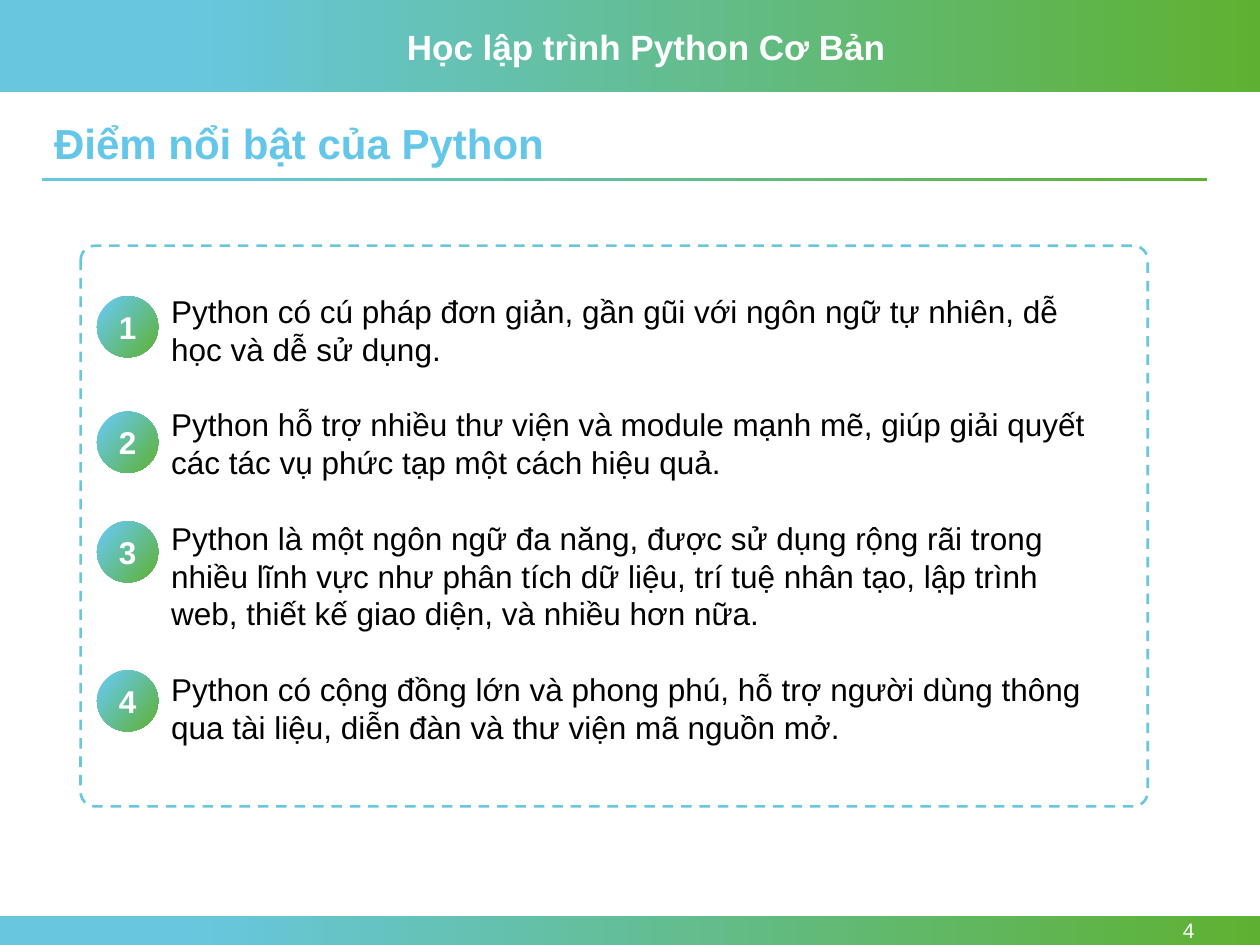
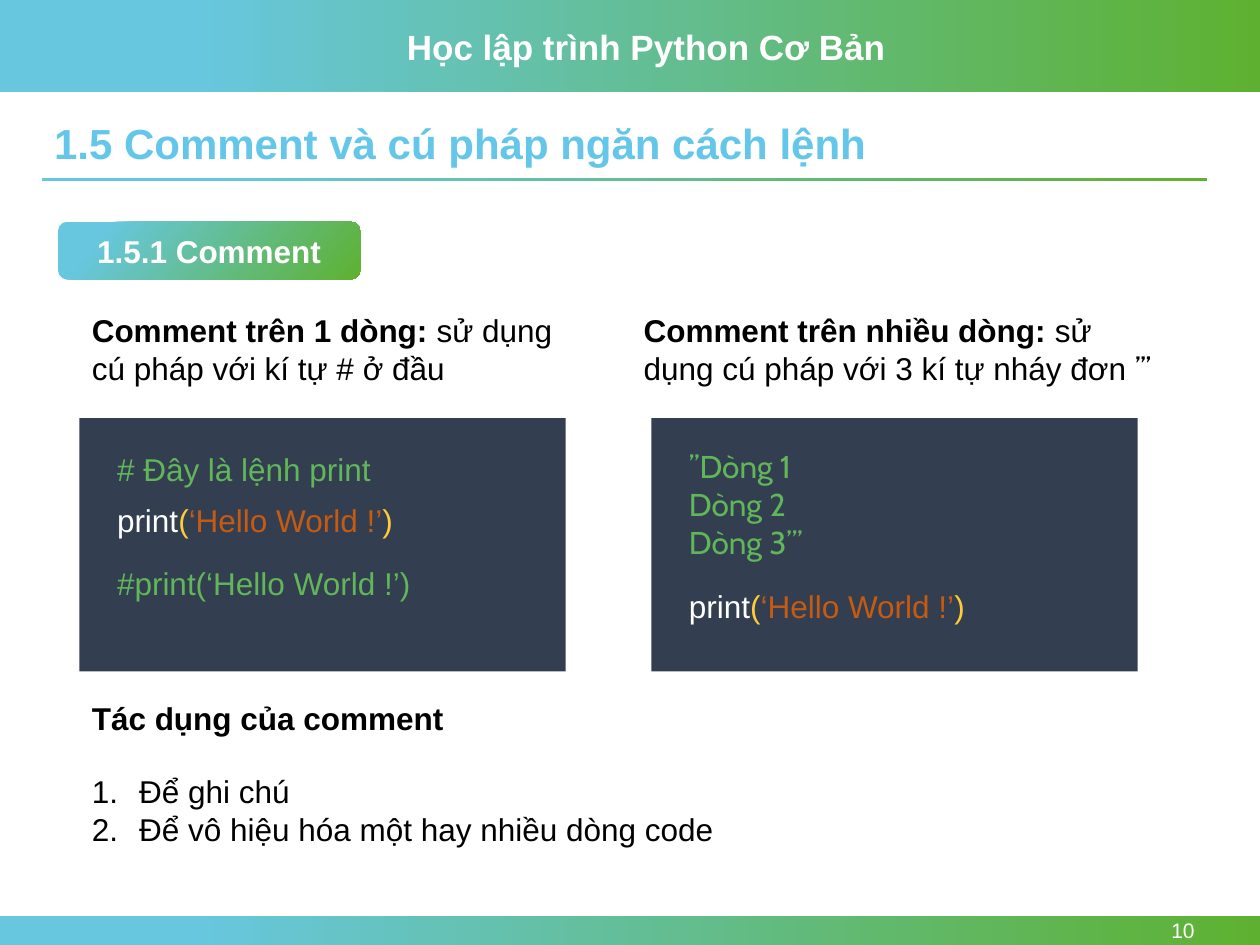
from lxml import etree
from pptx import Presentation
from pptx.dml.color import RGBColor
from pptx.enum import dml, shapes, text
from pptx.oxml.ns import qn
from pptx.util import Pt

COLORS = {
    "blue": "67C7DF", "green": "5EB130", "title": "64C7E9", "white": "FFFFFF",
    "black": "000000", "code": "333F50", "comment": "60B659",
    "bracket": "FECC36", "string": "C55A11",
}
FONT = "Arial"
CODE_FONT = "Cabin"
BODY_SIZE = 18
DIAGONAL = 320
LEFT = 23.8
CONTENT_WIDTH = 666
BAND_HEIGHT = 52.5
FOOTER_TOP, FOOTER_HEIGHT = 523.5, 16.5
CODE_TOP, CODE_WIDTH, CODE_HEIGHT = 239, 277.9, 144.7
CODE_INDENT = 14.4
CODE_LINE = (218.2, 28.8)

HELLO = [("print", {"color": "white"}), ("(", {"color": "bracket"}),
         ("‘Hello World !’", {"color": "string"}), (")", {"color": "bracket"})]


def rgb(name):
    return RGBColor.from_string(COLORS[name])


def set_font(font, size=None, color=None, bold=None, name=None):
    if size:
        font.size = Pt(size)
    if color:
        font.color.rgb = rgb(color)
    if bold is not None:
        font.bold = bold
    if name:
        font.name = name


def write(frame, paragraphs, size=BODY_SIZE, color="black", bold=False,
          name=FONT, align=None, middle=False):
    frame.word_wrap = True
    if middle:
        frame.vertical_anchor = text.MSO_ANCHOR.MIDDLE
    for index, content in enumerate(paragraphs):
        para = frame.paragraphs[0] if index == 0 else frame.add_paragraph()
        para.alignment = align
        set_font(para.font, size, color, bold, name)
        spans = [(content, {})] if isinstance(content, str) else content
        for words, style in spans:
            span = para.add_run()
            span.text = words
            set_font(span.font, **style)


def add_text(page, left, top, width, height, paragraphs, **style):
    box = page.shapes.add_textbox(Pt(left), Pt(top), Pt(width), Pt(height))
    write(box.text_frame, paragraphs, **style)
    return box.text_frame.paragraphs


def add_block(page, kind, left, top, width, height, fill=None, angle=0):
    block = page.shapes.add_shape(kind, Pt(left), Pt(top), Pt(width), Pt(height))
    block.shadow.inherit = False
    block.line.fill.background()
    if fill:
        block.fill.solid()
        block.fill.fore_color.rgb = rgb(fill)
    else:
        block.fill.gradient()
        block.fill.gradient_angle = angle
        stops = zip(block.fill.gradient_stops, ((0.15, "blue"), (1, "green")))
        for stop, (position, color) in stops:
            stop.position = position
            stop.color.rgb = rgb(color)
    return block


def add_label(page, kind, left, top, width, height, words):
    label = add_block(page, kind, left, top, width, height, angle=DIAGONAL)
    write(label.text_frame, [words], color="white", bold=True,
          align=text.PP_ALIGN.CENTER, middle=True)
    return label


def add_page(deck, title, number):
    page = deck.slides.add_slide(deck.slide_layouts[6])
    rectangle = shapes.MSO_SHAPE.RECTANGLE
    add_block(page, rectangle, 0, 0, 720, BAND_HEIGHT)
    add_block(page, rectangle, 0, FOOTER_TOP, 720, FOOTER_HEIGHT)
    add_text(page, 225.4, 10.8, 288, 31.5, ["Học lập trình Python Cơ Bản"],
             size=20, color="white", bold=True)
    add_block(page, rectangle, LEFT, 101.5, CONTENT_WIDTH, 2)
    add_text(page, 623.5, FOOTER_TOP, 66.2, FOOTER_HEIGHT, [str(number)], size=12,
             color="white", align=text.PP_ALIGN.RIGHT, middle=True)
    heading = add_text(page, LEFT, 67, CONTENT_WIDTH, 33, [title],
                       size=24, color="title", bold=True)[0]
    heading.line_spacing = 0.9
    heading.space_before = Pt(10)
    return page


def number_paragraphs(paragraphs, indent):
    for para in paragraphs:
        properties = para._p.get_or_add_pPr()
        properties.set("marL", str(Pt(indent)))
        properties.set("indent", str(-Pt(indent)))
        bullet = etree.Element(qn("a:buAutoNum"), type="arabicPeriod")
        properties.insert_element_before(bullet, "a:tabLst", "a:defRPr", "a:extLst")


def add_code_panel(page, left, lines):
    add_block(page, shapes.MSO_SHAPE.RECTANGLE, left, CODE_TOP,
              CODE_WIDTH, CODE_HEIGHT, fill="code")
    for top, paragraphs, name in lines:
        add_text(page, left + CODE_INDENT, top, *CODE_LINE, paragraphs,
                 color="comment", name=name)


def add_highlights(deck):
    page = add_page(deck, "Điểm nổi bật của Python", 4)
    panel = add_block(page, shapes.MSO_SHAPE.ROUNDED_RECTANGLE,
                      46.1, 140.4, 609.8, 320.4, fill="white")
    panel.adjustments[0] = 0.026
    panel.line.color.rgb = rgb("blue")
    panel.line.width = Pt(1.5)
    panel.line.dash_style = dml.MSO_LINE.DASH
    points = [
        "Python có cú pháp đơn giản, gần gũi với ngôn ngữ tự nhiên, dễ học và "
        "dễ sử dụng.",
        "Python hỗ trợ nhiều thư viện và module mạnh mẽ, giúp giải quyết các "
        "tác vụ phức tạp một cách hiệu quả.",
        "Python là một ngôn ngữ đa năng, được sử dụng rộng rãi trong nhiều lĩnh "
        "vực như phân tích dữ liệu, trí tuệ nhân tạo, lập trình web, thiết kế "
        "giao diện, và nhiều hơn nữa.",
        "Python có cộng đồng lớn và phong phú, hỗ trợ người dùng thông qua tài "
        "liệu, diễn đàn và thư viện mã nguồn mở.",
    ]
    for para in add_text(page, 90.7, 163.4, 548.6, 269.3, points)[:-1]:
        para.space_after = Pt(21.6)
    for number, top in enumerate((169.2, 235.2, 297.8, 383), 1):
        badge = add_label(page, shapes.MSO_SHAPE.OVAL, 55.4, top, 35, 35, str(number))
        badge.text_frame.margin_left = badge.text_frame.margin_right = 0


def add_comments(deck):
    page = add_page(deck, "1.5 Comment và cú pháp ngăn cách lệnh", 10)
    add_label(page, shapes.MSO_SHAPE.ROUNDED_RECTANGLE,
              33.1, 126.7, 172.8, 33.1, "1.5.1 Comment")
    plain = {"bold": False}
    add_text(page, 45.4, 174.2, 277.9, 51, [[
        ("Comment trên 1 dòng: ", {}),
        ("sử dụng cú pháp với kí tự # ở đầu", plain)]], bold=True)
    add_text(page, 360.7, 174.2, 314.6, 51, [[
        ("Comment trên nhiều dòng: ", {}),
        ("sử dụng cú pháp với 3 kí tự nháy đơn ", plain),
        ("’’’", {"bold": False, "name": CODE_FONT})]], bold=True)
    add_code_panel(page, 45.4, [
        (253.4, ["# Đây là lệnh print"], FONT),
        (283, [HELLO], FONT),
        (319, ["#print(‘Hello World !’)"], FONT)])
    add_code_panel(page, 372.2, [
        (252, ["’’Dòng 1", "Dòng 2", "Dòng 3’’’"], CODE_FONT),
        (332, [HELLO], FONT)])
    add_text(page, 45.4, 396, 277.9, 28.8, ["Tác dụng của comment"], bold=True)
    uses = add_text(page, 45.4, 437.8, 520.6, 51,
                    ["Để ghi chú", "Để vô hiệu hóa một hay nhiều dòng code"])
    number_paragraphs(uses, 27)


def main():
    deck = Presentation()
    deck.slide_width = Pt(720)
    deck.slide_height = Pt(540)
    add_highlights(deck)
    add_comments(deck)
    deck.save("out.pptx")


main()
